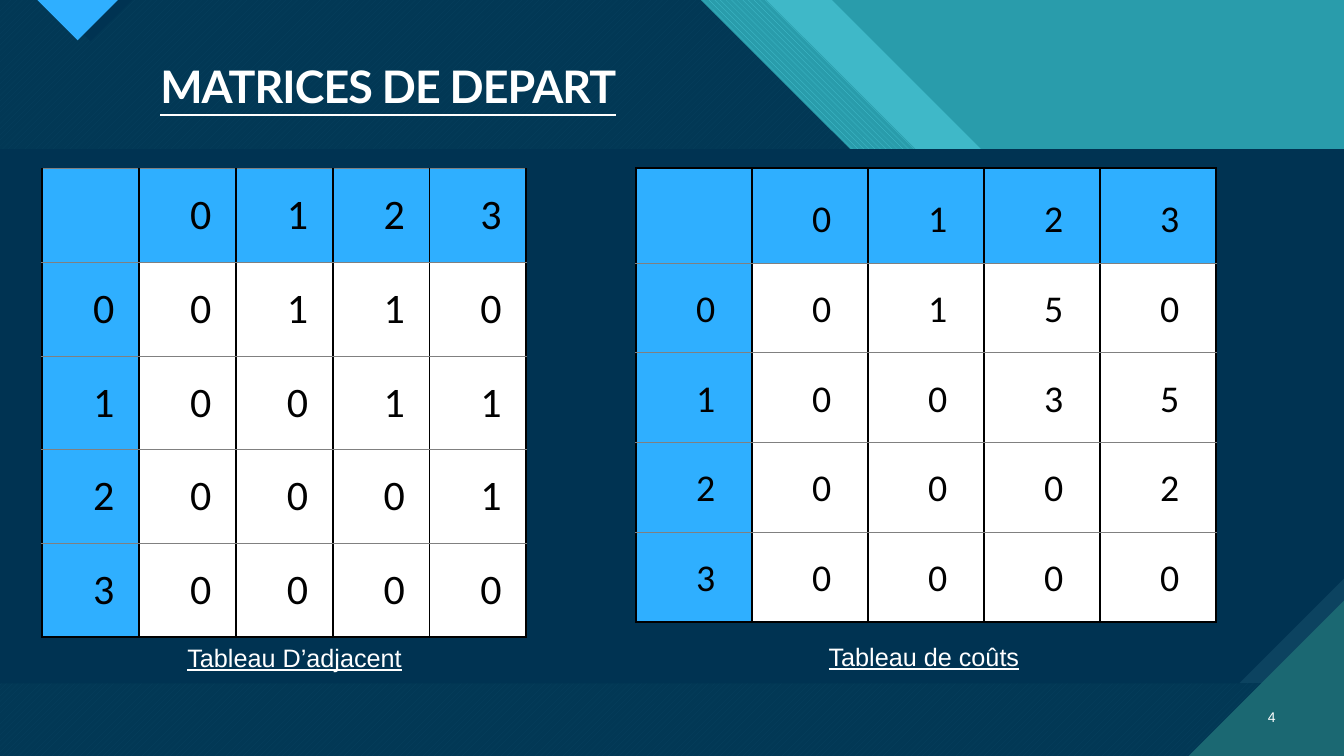
import pptx
import pptx.dml.color
import pptx.enum.dml
import pptx.enum.text
import pptx.oxml
import pptx.oxml.ns
import pptx.util
from pptx.util import Inches

PATTERN = pptx.enum.dml.MSO_PATTERN
ALIGN = pptx.enum.text.PP_ALIGN
ANCHOR = pptx.enum.text.MSO_ANCHOR

WIDTH, HEIGHT = 13.33, 7.5
NAVY, BLUE, WHITE, BLACK, GREY = "003352", "2FAFFF", "FFFFFF", "000000", "808080"
TEAL, LIGHT_TEAL, DARK_TEAL, CORNER_BLUE = "299CAB", "47C3D3", "1B6872", "0C4360"
PANEL_TOP, PANEL_BOTTOM, PANEL_SNIP = 1.48, 6.78, 1.04
CORNER = 1.54

TITLE = "MATRICES DE DEPART"
PAGE_NUMBER = "4"
MATRICES = [
    {"caption": "Tableau D’adjacent", "caption_at": (1.76, 6.32, 2.35, 0.4),
     "values": [[0, 1, 1, 0], [0, 0, 1, 1], [0, 0, 0, 1], [0, 0, 0, 0]],
     "at": (0.42, 1.67), "column": 0.96, "rows": [0.93] * 5,
     "size": 30, "margins": (0.28, 0.21, 0.02, 0.21), "top_line": (GREY, 0.5)},
    {"caption": "Tableau de coûts", "caption_at": (8.12, 6.31, 2.11, 0.4),
     "values": [[0, 1, 5, 0], [0, 0, 3, 5], [0, 0, 0, 2], [0, 0, 0, 0]],
     "at": (6.31, 1.67), "column": 1.15, "rows": [0.94] + [0.89] * 4,
     "size": 27, "margins": (0.25, 0.2, 0.02, 0.2), "top_line": (BLACK, 1.5)},
]


def rgb(value):
    return pptx.dml.color.RGBColor.from_string(value)


def polygon(points, color, pattern=None, back=None, alpha=None):
    builder = slide.shapes.build_freeform(
        Inches(points[0][0]), Inches(points[0][1]), scale=1.0)
    builder.add_line_segments([(Inches(x), Inches(y)) for x, y in points[1:]], close=True)
    shape = builder.convert_to_shape()
    shape.shadow.inherit = False
    shape.line.fill.background()
    if pattern is None:
        shape.fill.solid()
        shape.fill.fore_color.rgb = rgb(color)
    else:
        shape.fill.patterned()
        shape.fill.pattern = pattern
        shape.fill.fore_color.rgb = rgb(color)
        shape.fill.back_color.rgb = rgb(back)
    if alpha is not None:
        tint = shape.fill.fore_color._xFill.find(".//" + pptx.oxml.ns.qn("a:srgbClr"))
        tint.append(pptx.oxml.parse_xml(
            f'<a:alpha {pptx.oxml.ns.nsdecls("a")} val="{alpha * 1000}"/>'))


def diagonal_band(edge):
    """Outline of all that lies left of a 45° line starting at edge on the top side."""
    drop = 2.97
    return [(0, 0), (edge, 0), (edge + drop, drop), (WIDTH, drop), (WIDTH, HEIGHT), (0, HEIGHT)]


def write(frame, text, *, size, font="Arial", color=WHITE, bold=False, underline=False,
          align=ALIGN.LEFT):
    paragraph = frame.paragraphs[0]
    paragraph.alignment = align
    run = paragraph.add_run()
    run.text = text
    run.font.size = pptx.util.Pt(size)
    run.font.name = font
    run.font.color.rgb = rgb(color)
    run.font.bold = bold
    run.font.underline = underline
    return paragraph


def text_box(at, text, **text_format):
    frame = slide.shapes.add_textbox(*map(Inches, at)).text_frame
    frame.word_wrap = False
    return frame, write(frame, text, **text_format)


def add_borders(cell, **lines):
    properties = cell._tc.get_or_add_tcPr()
    for side, (color, width) in lines.items():
        properties.append(pptx.oxml.parse_xml(
            f'<a:ln{side} {pptx.oxml.ns.nsdecls("a")} w="{pptx.util.Pt(width)}">'
            f'<a:solidFill><a:srgbClr val="{color}"/></a:solidFill></a:ln{side}>'))


def add_matrix(matrix):
    heading = list(range(len(matrix["values"][0])))
    grid = [[""] + heading] + [[i] + row for i, row in enumerate(matrix["values"])]
    count = len(grid)
    table = slide.shapes.add_table(
        count, count, *map(Inches, matrix["at"]),
        Inches(matrix["column"] * count), Inches(sum(matrix["rows"]))).table
    table.first_row = table.horz_banding = False
    for column in table.columns:
        column.width = Inches(matrix["column"])
    for r, values in enumerate(grid):
        table.rows[r].height = Inches(matrix["rows"][r])
        for c, value in enumerate(values):
            cell = table.cell(r, c)
            add_borders(cell, L=(BLACK, 1.5), R=(BLACK, 1.5),
                        T=matrix["top_line"] if r == 0 else (GREY, 0.5),
                        B=(BLACK, 1.5) if r == count - 1 else (GREY, 0.5))
            cell.fill.solid()
            cell.fill.fore_color.rgb = rgb(BLUE if r == 0 or c == 0 else WHITE)
            cell.vertical_anchor = ANCHOR.BOTTOM
            (cell.margin_left, cell.margin_top,
             cell.margin_right, cell.margin_bottom) = map(Inches, matrix["margins"])
            if value != "":
                write(cell.text_frame, str(value), size=matrix["size"], font="Calibri",
                      color=BLACK, align=ALIGN.CENTER)
    text_box(matrix["caption_at"], matrix["caption"], size=18, underline=True)


deck = pptx.Presentation()
deck.slide_width, deck.slide_height = Inches(WIDTH), Inches(HEIGHT)
slide = deck.slides.add_slide(deck.slide_layouts[5])
slide.background.fill.solid()
slide.background.fill.fore_color.rgb = rgb(TEAL)

polygon(diagonal_band(8.25), LIGHT_TEAL, alpha=74)
polygon(diagonal_band(7.6), LIGHT_TEAL, PATTERN.WIDE_DOWNWARD_DIAGONAL, TEAL)
polygon(diagonal_band(6.95), LIGHT_TEAL, PATTERN.WIDE_UPWARD_DIAGONAL, DARK_TEAL)
polygon(diagonal_band(6.95), NAVY, alpha=90)
polygon([(0.48, 0), (0.9, 0.41), (1.31, 0)], NAVY)
polygon([(0.37, 0), (0.77, 0.4), (1.17, 0)], BLUE)
polygon([(0, PANEL_TOP), (WIDTH, PANEL_TOP), (WIDTH, PANEL_BOTTOM), (0, PANEL_BOTTOM)],
        CORNER_BLUE)
polygon([(0, PANEL_TOP), (WIDTH, PANEL_TOP), (WIDTH, PANEL_BOTTOM - PANEL_SNIP),
         (WIDTH - PANEL_SNIP, PANEL_BOTTOM), (0, PANEL_BOTTOM)], NAVY)
polygon([(WIDTH - CORNER, HEIGHT), (WIDTH, HEIGHT), (WIDTH, HEIGHT - CORNER)], DARK_TEAL)

title = slide.shapes.title
slide.shapes._spTree.append(title._element)  # bring in front of the backdrop
title.left, title.top, title.width, title.height = map(Inches, (0.49, 0.59, 12.26, 0.59))
title.text_frame.vertical_anchor = ANCHOR.TOP
title.text_frame.auto_size = pptx.enum.text.MSO_AUTO_SIZE.NONE
title.text_frame.margin_left = Inches(1.1)
heading_line = write(title.text_frame, TITLE, size=32, font="Lato", bold=True, underline=True)
heading_line.line_spacing = 0.9
heading_line.runs[0].font._element.set("spc", "-70")

for matrix in MATRICES:
    add_matrix(matrix)

number_frame, number_line = text_box((12.31, 6.91, 0.44, 0.4), PAGE_NUMBER, size=10,
                                     align=ALIGN.RIGHT)
number_frame.word_wrap = True
number_frame.vertical_anchor = ANCHOR.MIDDLE
number_line.space_after = pptx.util.Pt(6)

deck.save("out.pptx")
